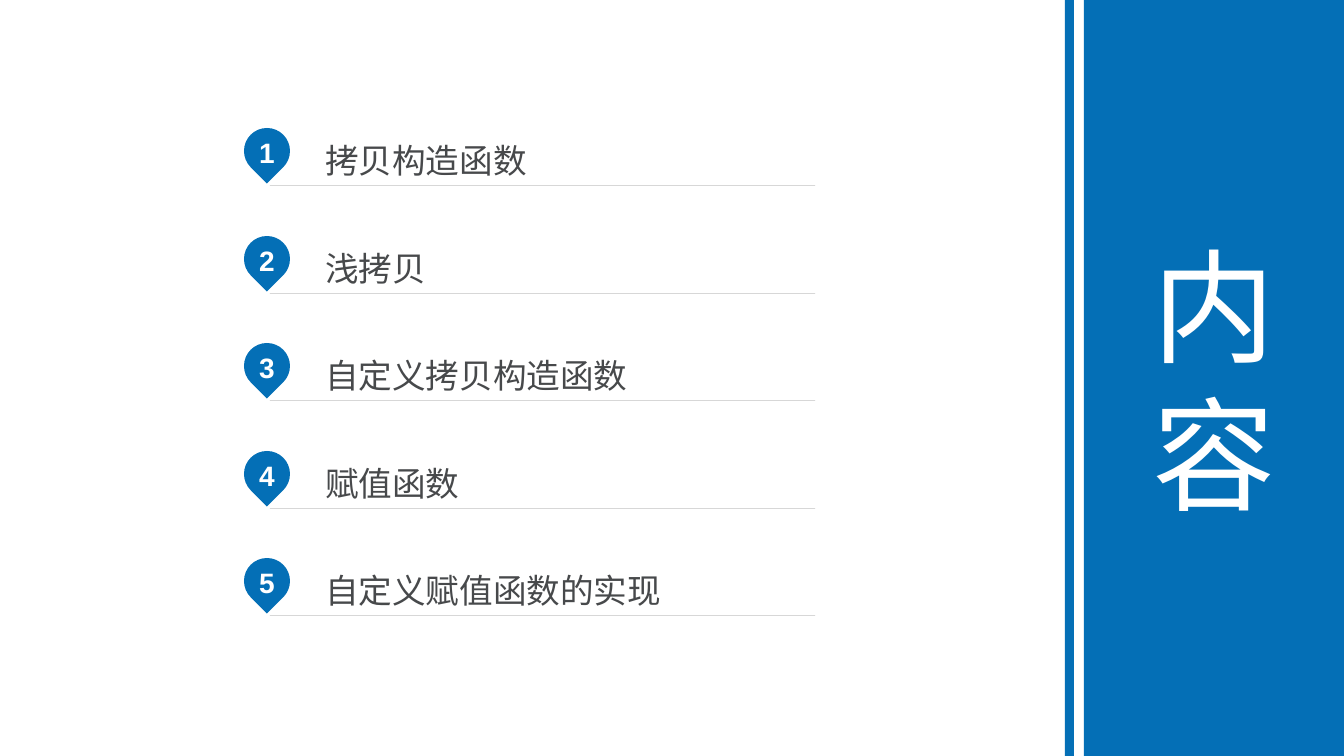
import math

from lxml import etree
from pptx import Presentation
from pptx.dml.color import RGBColor
from pptx.enum.shapes import MSO_SHAPE
from pptx.enum.text import MSO_ANCHOR, MSO_AUTO_SIZE, PP_ALIGN
from pptx.oxml.ns import qn
from pptx.util import Pt

MIDDLE = MSO_ANCHOR.MIDDLE
NO_AUTOFIT = MSO_AUTO_SIZE.NONE
CENTER, LEFT = PP_ALIGN.CENTER, PP_ALIGN.LEFT
RECTANGLE = MSO_SHAPE.RECTANGLE

SLIDE_WIDTH, SLIDE_HEIGHT = 1344, 756
EMU_PER_PX = 12192000 / SLIDE_WIDTH
FONT = "Arial"
COLORS = {"blue": "046FB6", "white": "FFFFFF", "text": "47494B", "rule": "D7D7D7"}

TOPICS = ["拷贝构造函数", "浅拷贝", "自定义拷贝构造函数", "赋值函数", "自定义赋值函数的实现"]
FIRST_TOP = 128
TWO_ROWS = 215
PIN_CENTER, PIN_RADIUS = 267, 23
PIN_ANGLES = [135, 180, 270, 360, 405]
RULE_LEFT, RULE_RIGHT = 270, 815


def px(length):
    return round(length * EMU_PER_PX)


def color(name):
    return RGBColor.from_string(COLORS[name])


def fill_blue(shape):
    shape.fill.solid()
    shape.fill.fore_color.rgb = color("blue")
    shape.line.fill.background()


def write(shape, text, size, color_name, align, insets, bold=False):
    """Write one middle-anchored paragraph; insets are left, top, right, bottom."""
    frame = shape.text_frame
    frame.auto_size = NO_AUTOFIT
    frame.word_wrap = True
    frame.vertical_anchor = MIDDLE
    frame.margin_left, frame.margin_top, frame.margin_right, frame.margin_bottom = map(px, insets)
    para = frame.paragraphs[0]
    para.alignment = align
    span = para.add_run()
    span.text = text
    span.font.name = FONT
    span.font.size = Pt(size)
    span.font.bold = bold
    span.font.color.rgb = color(color_name)
    return para


def add_title_panel(page):
    panel = page.shapes.title
    panel.left, panel.top = px(1084), 0
    panel.width, panel.height = px(260), px(SLIDE_HEIGHT)
    fill_blue(panel)
    write(panel, "内容", 88, "white", CENTER, (10, 5, 10, 5))


def add_stripe(page):
    stripe = page.shapes.add_shape(RECTANGLE, px(1065), 0, px(9), px(SLIDE_HEIGHT))
    stripe.shadow.inherit = False
    fill_blue(stripe)


def rim_point(center_y, degree, pull=0):
    """Return a point on the pin's rim, moved along its tangent by pull radii."""
    angle = math.radians(degree)
    cosine, sine = math.cos(angle), math.sin(angle)
    return (px(PIN_CENTER + PIN_RADIUS * (cosine - pull * sine)),
            px(center_y + PIN_RADIUS * (sine + pull * cosine)))


def round_rim(pin, center_y):
    """Turn the straight sides between rim points into circular curves."""
    sides = pin._element.findall(".//" + qn("a:lnTo"))[1:]
    for side, start, end in zip(sides, PIN_ANGLES, PIN_ANGLES[1:]):
        pull = 4 / 3 * math.tan(math.radians(end - start) / 4)
        side.tag = qn("a:cubicBezTo")
        controls = [rim_point(center_y, start, pull), rim_point(center_y, end, -pull)]
        for position, (x, y) in enumerate(controls):
            point = etree.Element(qn("a:pt"), x=str(x - pin.left), y=str(y - pin.top))
            side.insert(position, point)


def add_pin(page, top, number):
    """Add a round marker whose straight sides meet in a point below."""
    center_y = top + PIN_RADIUS
    builder = page.shapes.build_freeform(px(PIN_CENTER), px(center_y + PIN_RADIUS * math.sqrt(2)))
    builder.add_line_segments([rim_point(center_y, degree) for degree in PIN_ANGLES], close=True)
    pin = builder.convert_to_shape()
    round_rim(pin, center_y)
    pin.shadow.inherit = False
    fill_blue(pin)
    write(pin, str(number), 20, "white", CENTER, (10, 5, 10, 12), bold=True)


def add_topic(page, top, topic):
    """Add an underlined topic; a bare corner point gives the text its height."""
    left, right, rule_y = px(RULE_LEFT), px(RULE_RIGHT), px(top + 57)
    corner = (left, px(top + 2))
    builder = page.shapes.build_freeform(left, rule_y)
    builder.add_line_segments([(right, rule_y)], close=True)
    builder.move_to(*corner)
    builder.add_line_segments([corner], close=True)
    underline = builder.convert_to_shape()
    underline.shadow.inherit = False
    underline.fill.background()
    underline.line.color.rgb = color("rule")
    underline.line.width = Pt(0.25)
    para = write(underline, topic, 24, "text", LEFT, (55, 0, 0, 3))
    para.line_spacing = 1.2


def main():
    deck = Presentation()
    deck.slide_width, deck.slide_height = px(SLIDE_WIDTH), px(SLIDE_HEIGHT)
    page = deck.slides.add_slide(deck.slide_layouts[5])
    for index, topic in enumerate(TOPICS):
        top = FIRST_TOP + (index * TWO_ROWS + 1) // 2
        add_pin(page, top, index + 1)
        add_topic(page, top, topic)
    add_title_panel(page)
    add_stripe(page)
    deck.save("out.pptx")


if __name__ == "__main__":
    main()
